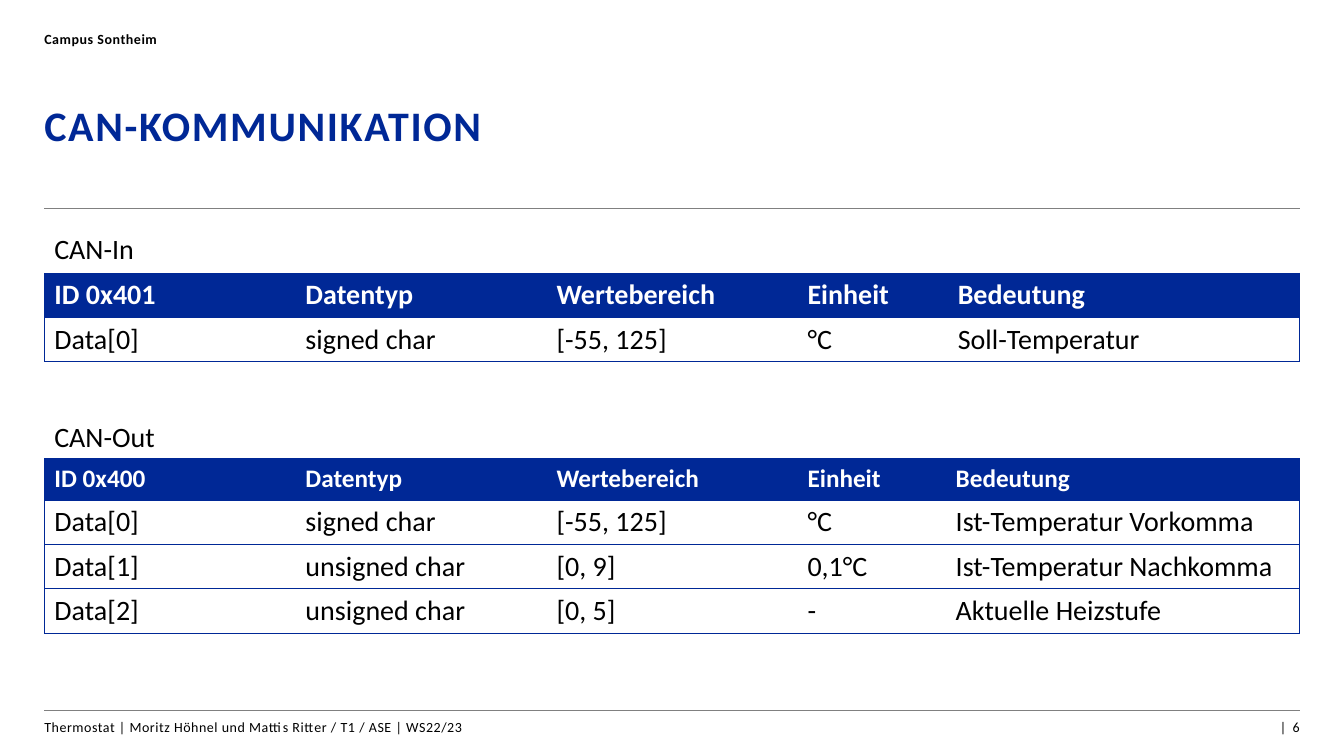
"""Build the CAN-Kommunikation slide with its two message tables."""
from lxml import etree
from pptx import Presentation
from pptx.dml.color import RGBColor
from pptx.enum.shapes import MSO_CONNECTOR
from pptx.enum.text import MSO_ANCHOR, MSO_AUTO_SIZE, PP_ALIGN
from pptx.oxml.ns import qn
from pptx.util import Inches, Pt

LEFT, RIGHT = PP_ALIGN.LEFT, PP_ALIGN.RIGHT
TOP = MSO_ANCHOR.TOP
NO_AUTOFIT = MSO_AUTO_SIZE.NONE
STRAIGHT = MSO_CONNECTOR.STRAIGHT
BLUE, WHITE, BLACK, GRAY = "002896", "FFFFFF", "000000", "808080"
MARGIN, RIGHT_EDGE = 0.44, 12.89
BORDER_WIDTH = 0.5
HEADINGS = ["Datentyp", "Wertebereich", "Einheit", "Bedeutung"]


def color(value):
    return RGBColor.from_string(value)


def write(frame, text, size=20, fill=BLACK, bold=False, spacing=0,
          align=LEFT, line_spacing=None, inset=None):
    frame.word_wrap = True
    frame.vertical_anchor = TOP
    if inset is not None:
        frame.auto_size = NO_AUTOFIT
        frame.margin_left = frame.margin_right = Inches(inset)
        frame.margin_top = frame.margin_bottom = Inches(inset)
    paragraph = frame.paragraphs[0]
    paragraph.alignment = align
    paragraph.line_spacing = line_spacing
    run = paragraph.add_run()
    run.text = text
    run.font.name = "Calibri"
    run.font.size = Pt(size)
    run.font.bold = bold
    run.font.color.rgb = color(fill)
    if spacing:
        run._r.get_or_add_rPr().set("spc", str(round(spacing * 100)))


presentation = Presentation()
presentation.slide_width = Inches(13.33)
presentation.slide_height = Inches(7.5)
slide = presentation.slides.add_slide(presentation.slide_layouts[5])
shapes = slide.shapes

for y in (2.07, 7.05):
    rule = shapes.add_connector(STRAIGHT, Inches(MARGIN), Inches(y), Inches(RIGHT_EDGE), Inches(y))
    rule.line.color.rgb = color(GRAY)
    rule.line.width = Pt(BORDER_WIDTH)
    etree.SubElement(rule._element.spPr, qn("a:effectLst"))

title = shapes.title
title.left, title.top = Inches(MARGIN), Inches(1.03)
title.width, title.height = Inches(12.44), Inches(0.94)
write(title.text_frame, "CAN-KOMMUNIKATION", size=30, fill=BLUE, bold=True,
      spacing=1.2, line_spacing=0.94, inset=0)

small_texts = [
    ("Campus Sontheim", MARGIN, 0.3, 8.07, {"bold": True, "spacing": 0.4}),
    ("Thermostat | Moritz Höhnel und Mattis Ritter / T1 / ASE | WS22/23",
     MARGIN, 7.13, 8.07, {"spacing": 0.4}),
    ("|  6", 10.81, 7.13, 2.08, {"align": RIGHT}),
]
for text, left, top, width, style in small_texts:
    box = shapes.add_textbox(Inches(left), Inches(top), Inches(width), Inches(0.24))
    write(box.text_frame, text, size=10, inset=0, **style)

messages = [
    {"caption": "CAN-In", "caption_top": 2.25, "table_top": 2.71,
     "header_size": 20, "header_height": 0.44,
     "widths": [2.49, 2.49, 2.49, 1.49, 3.49],
     "rows": [["ID 0x401", *HEADINGS],
              ["Data[0]", "signed char", "[-55, 125]", "°C", "Soll-Temperatur"]]},
    {"caption": "CAN-Out", "caption_top": 4.11, "table_top": 4.55,
     "header_size": 18, "header_height": 0.41,
     "widths": [2.49, 2.49, 2.49, 1.47, 3.51],
     "rows": [["ID 0x400", *HEADINGS],
              ["Data[0]", "signed char", "[-55, 125]", "°C", "Ist-Temperatur Vorkomma"],
              ["Data[1]", "unsigned char", "[0, 9]", "0,1°C", "Ist-Temperatur Nachkomma"],
              ["Data[2]", "unsigned char", "[0, 5]", "-", "Aktuelle Heizstufe"]]},
]
for message in messages:
    caption = shapes.add_textbox(Inches(MARGIN), Inches(message["caption_top"]),
                                 Inches(4.93), Inches(0.44))
    write(caption.text_frame, message["caption"])

    rows, widths = message["rows"], message["widths"]
    heights = [message["header_height"]] + [0.44] * (len(rows) - 1)
    table = shapes.add_table(len(rows), len(widths), Inches(MARGIN), Inches(message["table_top"]),
                             Inches(sum(widths)), Inches(sum(heights))).table
    table.horz_banding = False
    for column, width in zip(table.columns, widths):
        column.width = Inches(width)
    for row_index, values in enumerate(rows):
        table.rows[row_index].height = Inches(heights[row_index])
        is_header = row_index == 0
        for column_index, value in enumerate(values):
            cell = table.cell(row_index, column_index)
            write(cell.text_frame, value, size=message["header_size"] if is_header else 20,
                  fill=WHITE if is_header else BLACK, bold=is_header)
            visible = {"lnL": column_index == 0, "lnR": column_index == len(widths) - 1,
                       "lnT": True, "lnB": True}
            properties = cell._tc.get_or_add_tcPr()
            for side, shown in visible.items():
                border = etree.SubElement(properties, qn(f"a:{side}"), w=str(Pt(BORDER_WIDTH)))
                paint = etree.SubElement(border, qn("a:solidFill" if shown else "a:noFill"))
                if shown:
                    etree.SubElement(paint, qn("a:srgbClr"), val=BLUE)
            if is_header:
                cell.fill.solid()
                cell.fill.fore_color.rgb = color(BLUE)
            else:
                cell.fill.background()

presentation.save("out.pptx")
